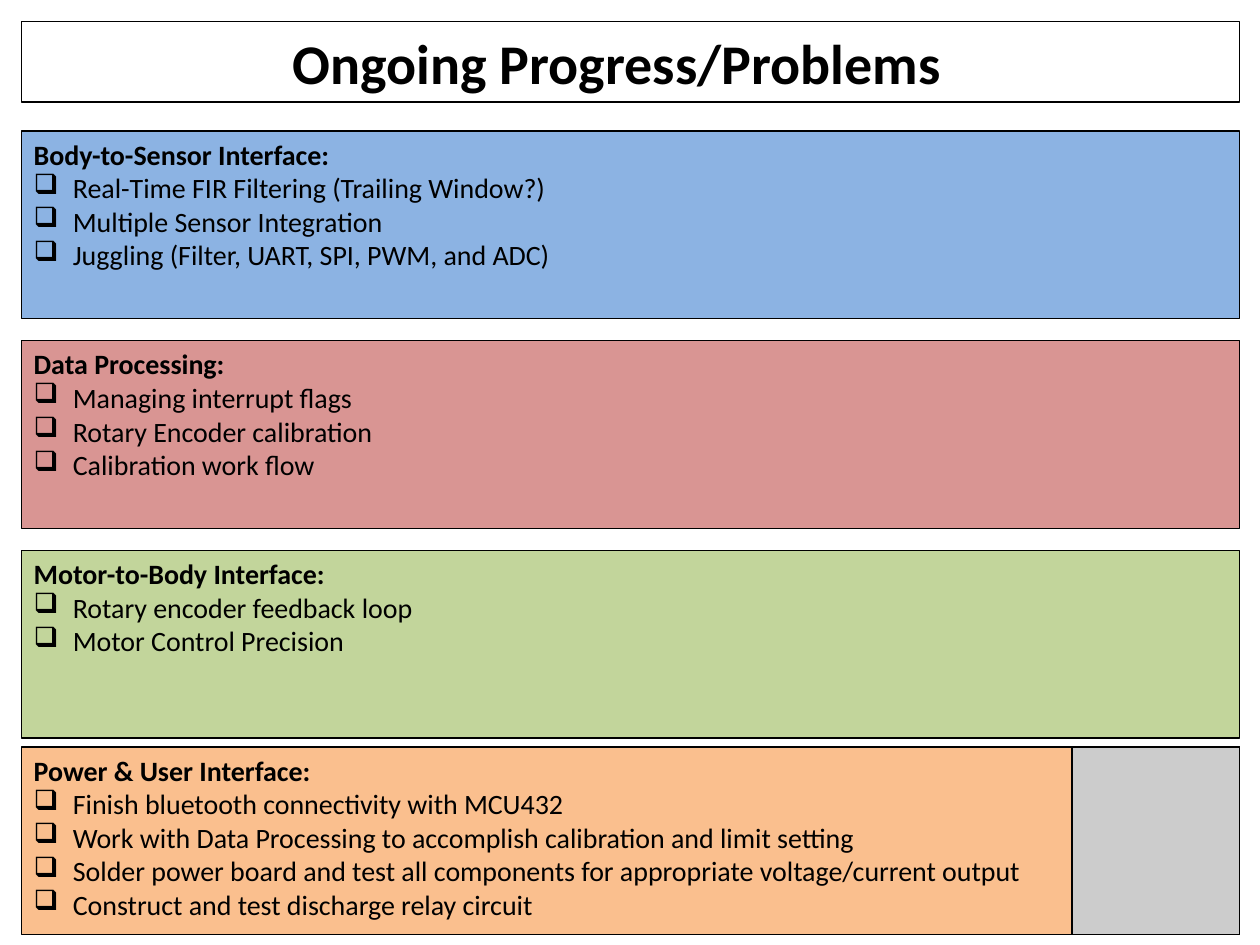
from lxml.etree import SubElement
from pptx import Presentation
from pptx.dml.color import RGBColor
from pptx.enum.shapes import MSO_SHAPE
from pptx.enum.text import MSO_ANCHOR, PP_ALIGN
from pptx.oxml.ns import qn
from pptx.util import Cm, Pt

BLACK = RGBColor(0x00, 0x00, 0x00)
BLUE = RGBColor(0x8C, 0xB3, 0xE3)
RED = RGBColor(0xD9, 0x95, 0x93)
GREEN = RGBColor(0xC2, 0xD5, 0x9B)
ORANGE = RGBColor(0xFA, 0xBF, 0x8E)
GREY = RGBColor(0xCC, 0xCC, 0xCC)

LEFT, WIDTH, HEIGHT = 0.43, 24.56, 3.78
SIDE = 3.38
FIRST, STEP, LAST = 2.64, 4.23, 15.06

PANELS = [
    (FIRST, BLUE, "Body-to-Sensor Interface:", [
        "Real-Time FIR Filtering (Trailing Window?)",
        "Multiple Sensor Integration",
        "Juggling (Filter, UART, SPI, PWM, and ADC)",
    ]),
    (FIRST + STEP, RED, "Data Processing:", [
        "Managing interrupt flags",
        "Rotary Encoder calibration",
        "Calibration work flow",
    ]),
    (FIRST + 2 * STEP, GREEN, "Motor-to-Body Interface:", [
        "Rotary encoder feedback loop",
        "Motor Control Precision",
    ]),
    (LAST, ORANGE, "Power & User Interface:", [
        "Finish bluetooth connectivity with MCU432",
        "Work with Data Processing to accomplish calibration and limit setting",
        "Solder power board and test all components for appropriate voltage/current output",
        "Construct and test discharge relay circuit",
    ]),
]


def add_box(slide, left, top, width, height, fill=None):
    box = slide.shapes.add_shape(
        MSO_SHAPE.RECTANGLE, Cm(left), Cm(top), Cm(width), Cm(height))
    box.shadow.inherit = False
    if fill is None:
        box.fill.background()
    else:
        box.fill.solid()
        box.fill.fore_color.rgb = fill
    box.line.color.rgb = BLACK
    box.line.width = Pt(0.75)
    return box


def set_text(para, text, size, bold):
    para.text = text
    font = para.font
    font.name = "Calibri"
    font.size = Pt(size)
    font.bold = bold
    font.color.rgb = BLACK


def add_bullet(para):
    props = para._p.get_or_add_pPr()
    props.set("marL", str(Cm(0.79)))
    props.set("indent", str(-Cm(0.79)))
    color = SubElement(props, qn("a:buClr"))
    SubElement(color, qn("a:srgbClr")).set("val", str(BLACK))
    SubElement(props, qn("a:buChar")).set("char", "❑")


def add_title(slide, left, top, width, height):
    frame = add_box(slide, left, top, width, height).text_frame
    frame.word_wrap = True
    frame.vertical_anchor = MSO_ANCHOR.MIDDLE
    frame.margin_right = Cm(0.8)
    para = frame.paragraphs[0]
    para.alignment = PP_ALIGN.CENTER
    set_text(para, "Ongoing Progress/Problems", 32, True)


def add_panel(slide, left, top, width, height, fill, head, items):
    frame = add_box(slide, left, top, width, height, fill).text_frame
    frame.word_wrap = True
    frame.vertical_anchor = MSO_ANCHOR.TOP
    para = frame.paragraphs[0]
    para.alignment = PP_ALIGN.LEFT
    set_text(para, head, 16, True)
    for item in items:
        para = frame.add_paragraph()
        para.alignment = PP_ALIGN.LEFT
        add_bullet(para)
        set_text(para, item, 16, False)


def main():
    deck = Presentation()
    deck.slide_width, deck.slide_height = Cm(25.4), Cm(19.05)
    slide = deck.slides.add_slide(deck.slide_layouts[6])
    add_title(slide, LEFT, 0.43, WIDTH, 1.63)
    for top, fill, head, items in PANELS:
        add_panel(slide, LEFT, top, WIDTH, HEIGHT, fill, head, items)
    add_box(slide, LEFT + WIDTH - SIDE, LAST, SIDE, HEIGHT, GREY)
    deck.save("out.pptx")


if __name__ == "__main__":
    main()
